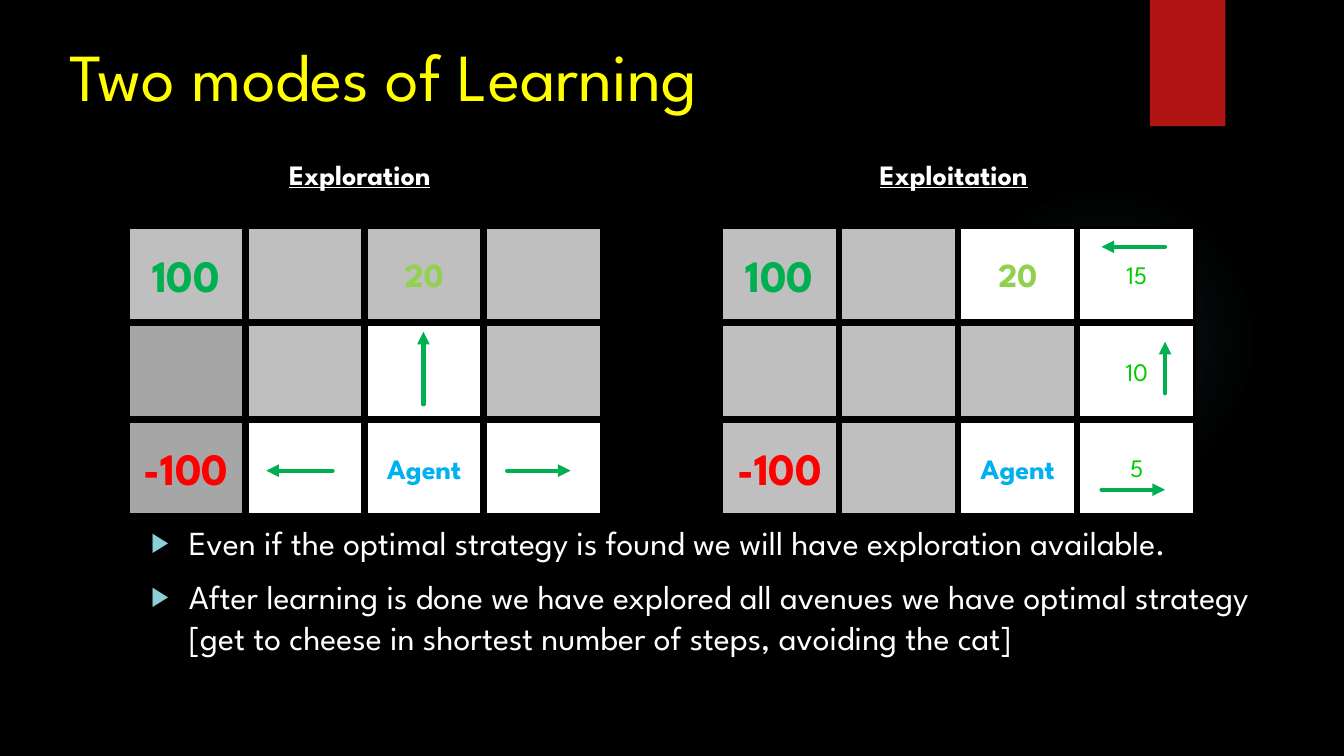
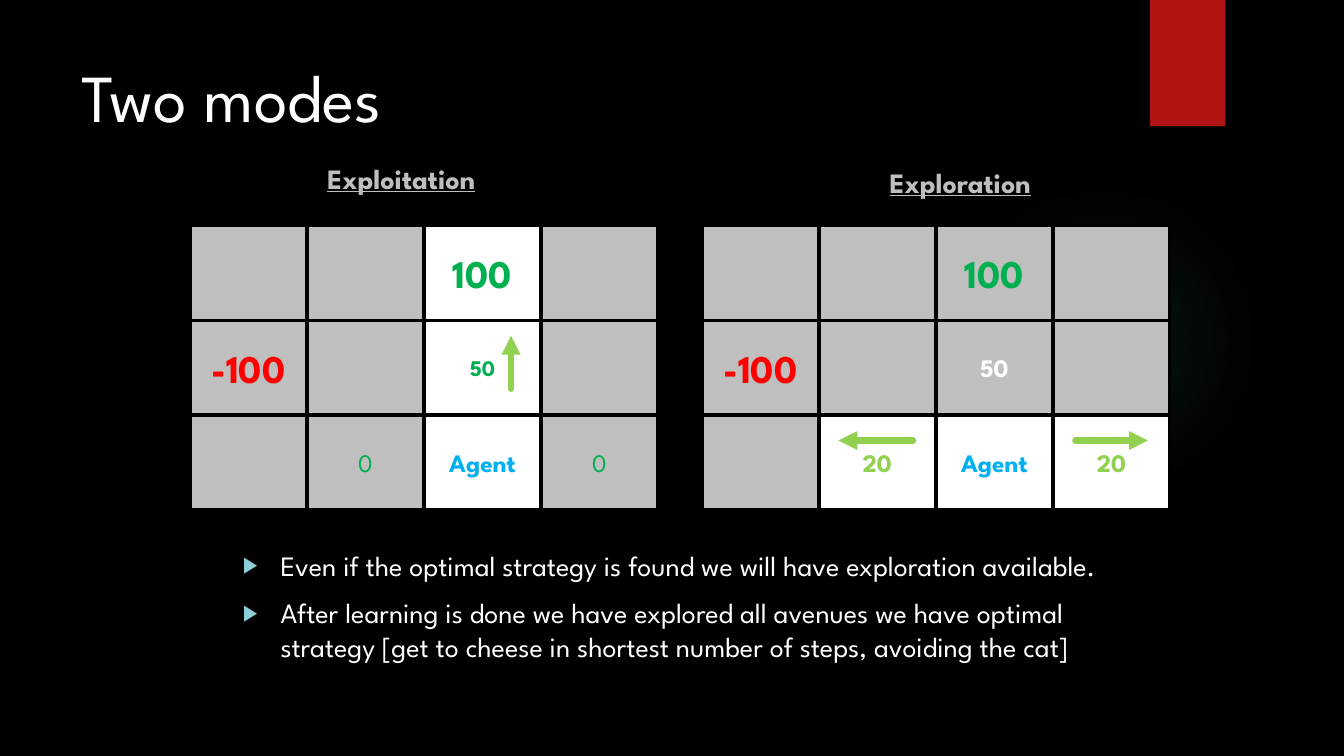
from collections import namedtuple

from lxml.etree import SubElement
from pptx import Presentation
from pptx.dml.color import RGBColor
from pptx.enum.shapes import MSO_CONNECTOR as Connector, MSO_SHAPE as Shape
from pptx.enum.text import MSO_ANCHOR as Anchor, MSO_AUTO_SIZE as AutoSize, PP_ALIGN as Align
from pptx.oxml import parse_xml
from pptx.oxml.ns import nsdecls, qn
from pptx.util import Cm, Pt

BLACK = RGBColor(0x00, 0x00, 0x00)
WHITE = RGBColor(0xFF, 0xFF, 0xFF)
YELLOW = RGBColor(0xFF, 0xFF, 0x00)
SILVER = RGBColor(0xBF, 0xBF, 0xBF)
GRAY = RGBColor(0xA6, 0xA6, 0xA6)
GREEN = RGBColor(0x00, 0xB0, 0x50)
BRIGHT_GREEN = RGBColor(0x00, 0xCC, 0x00)
LIME = RGBColor(0x92, 0xD0, 0x50)
RED = RGBColor(0xFF, 0x00, 0x00)
BAND_RED = RGBColor(0xB0, 0x15, 0x13)
BLUE = RGBColor(0x00, 0xB0, 0xF0)
TEAL = RGBColor(0x50, 0xB9, 0xC1)
AQUA = RGBColor(0x8A, 0xD0, 0xD6)

FONT = "League Spartan"
POINTS = (
    "Even if the optimal strategy is found we will have exploration available.",
    "After learning is done we have explored all avenues we have optimal strategy "
    "[get to cheese in shortest number of steps, avoiding the cat]",
)

Cell = namedtuple("Cell", "fill text color size bold", defaults=("", BLACK, 18, True))
Grid = namedtuple("Grid", "top pitch_x pitch_y width height")


class Deck:
    def __init__(self):
        self.prs = Presentation()
        self.prs.slide_width, self.prs.slide_height = Cm(33.87), Cm(19.05)
        background = self.prs.slide_master.background.fill
        background.solid()
        background.fore_color.rgb = BLACK
        self.slide = None

    def style(self, paragraph, size, color, bold=False, underline=False):
        font = paragraph.font
        font.name, font.size, font.color.rgb = FONT, Pt(size), color
        font.bold, font.underline = bold, underline

    def add_slide(self, title, left, top, color):
        self.slide = self.prs.slides.add_slide(self.prs.slide_layouts[5])
        self.glow()
        self.block(Shape.RECTANGLE, 28.98, 0, 1.9, 3.18, BAND_RED)
        heading = self.slide.shapes.title
        heading.left, heading.top = Cm(left), Cm(top)
        heading.width, heading.height = Cm(28.37), Cm(3.15)
        frame = heading.text_frame
        frame.text = title
        frame.vertical_anchor, frame.auto_size = Anchor.TOP, AutoSize.NONE
        frame.paragraphs[0].alignment = Align.LEFT
        self.style(frame.paragraphs[0], 48, color)

    def block(self, kind, left, top, width, height, fill):
        shape = self.slide.shapes.add_shape(kind, Cm(left), Cm(top), Cm(width), Cm(height))
        shape.shadow.inherit = False
        shape.fill.solid()
        shape.fill.fore_color.rgb = fill
        shape.line.fill.background()
        return shape

    def glow(self):
        halo = self.block(Shape.OVAL, 23.9, 4.65, 7.82, 7.82, TEAL)
        stops = "".join(
            f'<a:gs pos="{place}000"><a:srgbClr val="{TEAL}"><a:alpha val="{alpha}000"/></a:srgbClr></a:gs>'
            for place, alpha in ((0, 7), (36, 6), (69, 0), (100, 0))
        )
        gradient = parse_xml(
            f'<a:gradFill {nsdecls("a")}><a:gsLst>{stops}</a:gsLst><a:path path="circle">'
            '<a:fillToRect l="50000" t="50000" r="50000" b="50000"/></a:path></a:gradFill>'
        )
        properties = halo.fill._xPr
        properties.replace(properties.find(qn("a:solidFill")), gradient)

    def heading(self, text, left, top, color):
        box = self.slide.shapes.add_textbox(Cm(left), Cm(top), Cm(4.5), Cm(1.12))
        box.text_frame.word_wrap = True
        box.text_frame.text = text
        self.style(box.text_frame.paragraphs[0], 20, color, bold=True, underline=True)

    def board(self, left, grid, rows):
        for row, cells in enumerate(rows):
            for column, cell in enumerate(cells):
                tile = self.block(
                    Shape.RECTANGLE, left + column * grid.pitch_x, grid.top + row * grid.pitch_y,
                    grid.width, grid.height, cell.fill,
                )
                tile.line.color.rgb, tile.line.width = BLACK, Pt(2.25)
                if cell.text:
                    frame = tile.text_frame
                    frame.text = cell.text
                    frame.vertical_anchor = Anchor.MIDDLE
                    frame.paragraphs[0].alignment = Align.CENTER
                    self.style(frame.paragraphs[0], cell.size, cell.color, cell.bold)

    def arrow(self, start_x, start_y, end_x, end_y, color, width):
        move = self.slide.shapes.add_connector(
            Connector.STRAIGHT, Cm(start_x), Cm(start_y), Cm(end_x), Cm(end_y)
        )
        move.line.color.rgb, move.line.width = color, Pt(width)
        line = move.line._get_or_add_ln()
        line.set("cap", "rnd")
        SubElement(line, qn("a:tailEnd"), type="triangle")
        SubElement(line.getparent(), qn("a:effectLst"))

    def bullets(self, points, left, top, width, size):
        box = self.slide.shapes.add_textbox(Cm(left), Cm(top), Cm(width), Cm(4.5))
        frame = box.text_frame
        frame.word_wrap = True
        for index, point in enumerate(points):
            paragraph = frame.add_paragraph() if index else frame.paragraphs[0]
            paragraph.text = point
            properties = paragraph._p.get_or_add_pPr()
            properties.set("marL", str(Cm(0.95)))
            properties.set("indent", str(-Cm(0.95)))
            color = SubElement(properties, qn("a:buClr"))
            SubElement(color, qn("a:srgbClr"), val=str(AQUA))
            SubElement(properties, qn("a:buSzPct"), val="80000")
            SubElement(properties, qn("a:buFont"), typeface="Arial")
            SubElement(properties, qn("a:buChar"), char="▶")
            if index:
                paragraph.space_before = Pt(10)
            self.style(paragraph, size, WHITE)


def learning_slide(deck):
    deck.add_slide("Two modes of Learning", 1.5, 0.74, YELLOW)
    grid = Grid(top=5.73, pitch_x=3, pitch_y=2.44, width=2.92, height=2.36)
    closed, dark, free = Cell(SILVER), Cell(GRAY), Cell(WHITE)
    cheese = Cell(SILVER, "100", GREEN, 32)
    cat = Cell(SILVER, "-100", RED, 32)
    agent = Cell(WHITE, "Agent", BLUE, 20)
    reward = Cell(SILVER, "20", LIME, 24)
    first, second, third = (Cell(WHITE, value, BRIGHT_GREEN, 18, False) for value in ("5", "10", "15"))
    deck.board(3.23, grid, (
        (cheese, closed, reward, closed),
        (dark, closed, free, closed),
        (cat._replace(fill=GRAY), free, agent, free),
    ))
    deck.board(18.19, grid, (
        (cheese, closed, reward._replace(fill=WHITE), third),
        (closed, closed, closed, second),
        (cat, closed, agent, first),
    ))
    for move in (
        (27.76, 12.34, 29.36, 12.34),
        (29.36, 9.91, 29.36, 8.61),
        (29.36, 6.22, 27.76, 6.22),
        (12.78, 11.86, 14.38, 11.86),
        (8.38, 11.86, 6.71, 11.86),
        (10.67, 10.19, 10.67, 8.36),
    ):
        deck.arrow(*move, GREEN, 3)
    deck.bullets(POINTS, 3.56, 13.03, 29.29, 24)
    deck.heading("Exploitation", 21.92, 3.84, WHITE)
    deck.heading("Exploration", 7.04, 3.84, WHITE)


def modes_slide(deck):
    deck.add_slide("Two modes", 1.8, 1.27, WHITE)
    grid = Grid(top=5.68, pitch_x=2.95, pitch_y=2.39, width=2.92, height=2.39)
    closed = Cell(SILVER)
    cheese = Cell(SILVER, "100", GREEN, 28)
    cat = Cell(SILVER, "-100", RED, 28)
    agent = Cell(WHITE, "Agent", BLUE)
    zero = Cell(SILVER, "0", GREEN, 18, False)
    reward = Cell(WHITE, "20", LIME)
    deck.board(4.8, grid, (
        (closed, closed, cheese._replace(fill=WHITE), closed),
        (cat, closed, Cell(WHITE, "50", GREEN, 16), closed),
        (closed, zero, agent, zero),
    ))
    deck.board(17.7, grid, (
        (closed, closed, cheese, closed),
        (cat, closed, Cell(SILVER, "50", WHITE), closed),
        (closed, reward, agent, reward),
    ))
    for move in (
        (12.88, 9.8, 12.88, 8.46),
        (23.01, 11.1, 21.13, 11.1),
        (27.1, 11.1, 28.93, 11.1),
    ):
        deck.arrow(*move, LIME, 4.5)
    deck.bullets(POINTS, 5.87, 13.69, 22.15, 20)
    deck.heading("Exploitation", 8, 3.94, SILVER)
    deck.heading("Exploration", 22.17, 4.04, SILVER)


def main():
    deck = Deck()
    learning_slide(deck)
    modes_slide(deck)
    deck.prs.save("out.pptx")


if __name__ == "__main__":
    main()
